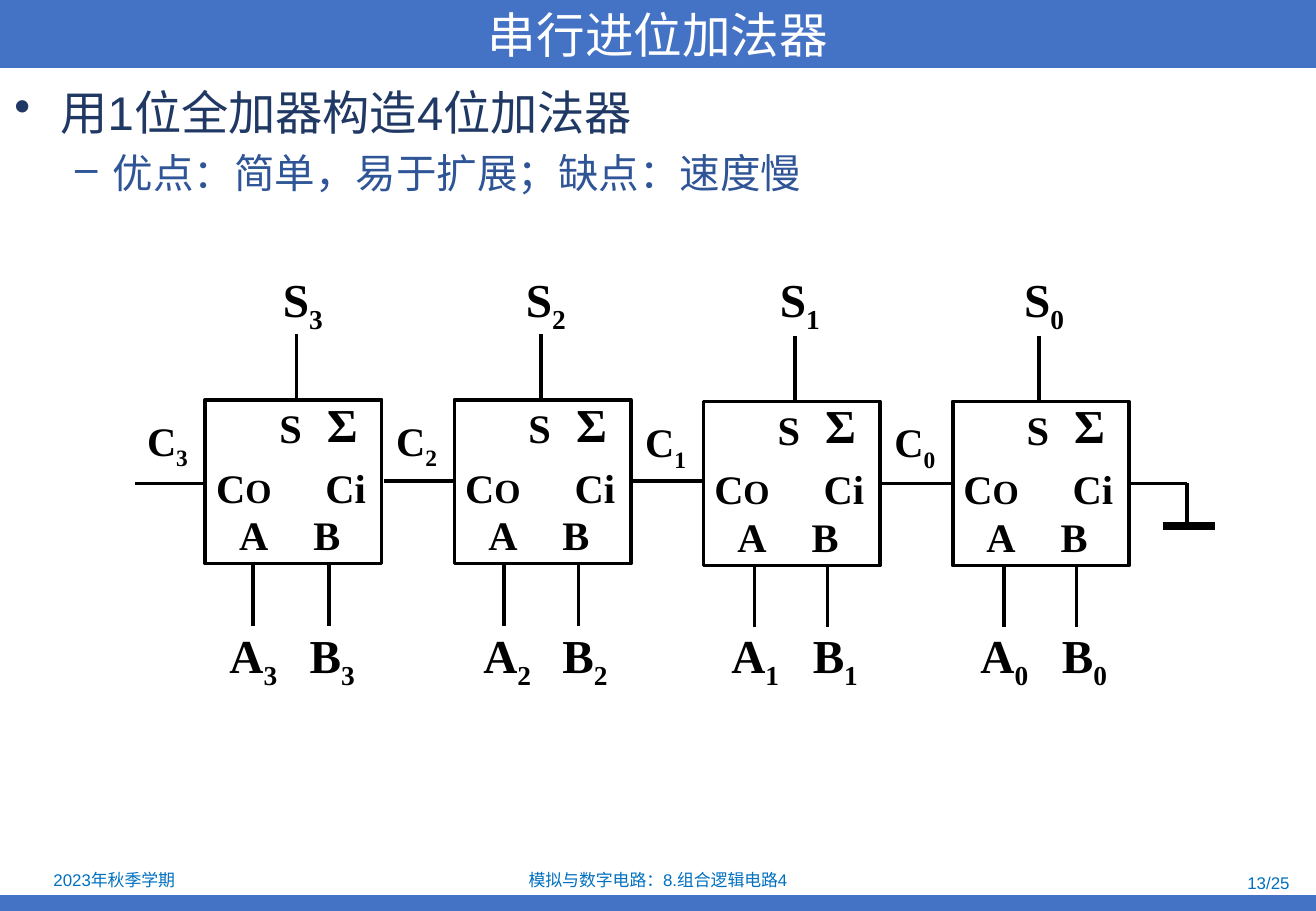
from dataclasses import dataclass

from lxml.etree import SubElement
from pptx import Presentation
from pptx.dml.color import RGBColor
from pptx.enum.shapes import MSO_CONNECTOR as Connector, MSO_SHAPE as Shape
from pptx.enum.text import MSO_ANCHOR as Anchor, MSO_AUTO_SIZE as AutoSize, PP_ALIGN as Align
from pptx.oxml.ns import qn
from pptx.util import Inches, Pt

CELL = Inches(0.1)  # one column or row of the page grid
COLUMNS, ROWS = 108.3, 75
PITCH, FIRST_LEFT = 20.5, 16.9  # adder spacing and left edge of the first adder
ADDER_WIDTH, ADDER_HEIGHT = 14.5, 13.5
BLUE, FOOTER_BLUE, NAVY, MID_BLUE = "4472C4", "0070C0", "203864", "2F5597"
WHITE, BLACK = "FFFFFF", "000000"
CHINESE, LATIN, SERIF = "Noto Sans CJK SC", "Arial", "Times New Roman"


@dataclass(frozen=True)
class Area:
    left: float
    top: float
    width: float
    height: float

    def lengths(self) -> list[int]:
        return [grid(n) for n in (self.left, self.top, self.width, self.height)]


@dataclass(frozen=True)
class Span:
    text: str
    size: float
    subscript: bool = False


@dataclass(frozen=True)
class Pin:
    """A label inside an adder, placed from the adder's corner."""
    spans: tuple[Span, ...]
    area: Area
    tight: bool = False


@dataclass(frozen=True)
class Stage:
    """One adder; columns of its wires and outer labels count from its left edge."""
    digit: str
    top: float
    carry_row: float
    sum_wire: float
    a_wire: float
    sum_label: float
    a_label: float
    b_label: float


PINS = (
    Pin((Span("A", 24),), Area(1.8, 8.6, 4.4, 5)),
    Pin((Span("B", 24),), Area(7.9, 8.6, 4.2, 5)),
    Pin((Span("S", 24),), Area(5.1, -0.2, 3.9, 5)),
    Pin((Span("Ci", 24),), Area(8.9, 4.7, 5.3, 5)),
    Pin((Span("Σ", 28),), Area(10, -0.4, 3.9, 4.7), tight=True),
    Pin((Span("C", 24), Span("O", 20)), Area(-0.1, 4.7, 6.6, 5)),
)
STAGES = (
    Stage("3", 32.9, 39.8, 7.5, 3.9, 5.4, 1.0, 7.6),
    Stage("2", 32.9, 39.6, 7.1, 4.1, 4.9, 1.4, 7.9),
    Stage("1", 33.05, 39.6, 7.5, 4.2, 5.3, 1.3, 8.0),
    Stage("0", 33.05, 39.8, 7.1, 4.2, 4.9, 1.3, 8.0),
)


def grid(cells: float) -> int:
    return round(cells * CELL)


def color(value: str) -> RGBColor:
    return RGBColor.from_string(value)


def write(para, text: str, *, size: float, hue: str, font: str = LATIN,
          bold: bool = False, subscript: bool = False) -> None:
    span = para.add_run()
    span.text = text
    span.font.size, span.font.bold, span.font.name = Pt(size), bold, font
    span.font.color.rgb = color(hue)
    properties = span.font._element
    SubElement(properties, qn("a:ea"), typeface=CHINESE)
    if subscript:
        properties.set("baseline", "-25000")


def add_band(page, area: Area) -> None:
    band = page.shapes.add_shape(Shape.RECTANGLE, *area.lengths())
    band.shadow.inherit = False
    band.fill.solid()
    band.fill.fore_color.rgb = color(BLUE)
    band.line.fill.background()


def add_wire(page, start: tuple[float, float], end: tuple[float, float],
             weight: float = 2.25) -> None:
    wire = page.shapes.add_connector(Connector.STRAIGHT, *map(grid, start + end))
    wire.line.color.rgb = color(BLACK)
    wire.line.width = Pt(weight)
    SubElement(wire._element.spPr, qn("a:effectLst"))


def add_label(page, area: Area, spans: tuple[Span, ...], tight: bool = False) -> None:
    """Bold serif label that grows with its text; a tight one has no margins."""
    frame = page.shapes.add_textbox(*area.lengths()).text_frame
    frame.word_wrap = False
    frame.auto_size = AutoSize.SHAPE_TO_FIT_TEXT
    if tight:
        frame.vertical_anchor = Anchor.MIDDLE
        frame.margin_left = frame.margin_right = frame.margin_top = frame.margin_bottom = 0
    for span in spans:
        write(frame.paragraphs[0], span.text, size=span.size, hue=BLACK, font=SERIF,
              bold=True, subscript=span.subscript)


def add_signal(page, area: Area, letter: str, digit: str, size: float = 28,
               tight: bool = False) -> None:
    add_label(page, area, (Span(letter, size), Span(digit, size, True)), tight)


def add_stage(page, stage: Stage, left: float) -> None:
    top, bottom = stage.top, stage.top + ADDER_HEIGHT
    adder = page.shapes.add_shape(
        Shape.RECTANGLE, *Area(left, top, ADDER_WIDTH, ADDER_HEIGHT).lengths())
    adder.shadow.inherit = False
    adder.fill.background()
    adder.line.color.rgb = color(BLACK)
    adder.line.width = Pt(2.25)
    for pin in PINS:
        area = Area(left + pin.area.left, top + pin.area.top, pin.area.width, pin.area.height)
        add_label(page, area, pin.spans, pin.tight)

    sum_column = left + stage.sum_wire
    add_wire(page, (sum_column, top - 5.4), (sum_column, top))
    for column in (left + stage.a_wire, left + 10.2):
        add_wire(page, (column, bottom), (column, bottom + 5.1))
    add_wire(page, (left - 5.8, stage.carry_row), (left, stage.carry_row))

    add_signal(page, Area(left + stage.sum_label, 21.8, 5.5, 5.7), "S", stage.digit)
    add_signal(page, Area(left + stage.a_label, 51.1, 6.1, 5.7), "A", stage.digit)
    add_signal(page, Area(left + stage.b_label, 51.1, 5.9, 5.7), "B", stage.digit)
    add_signal(page, Area(left - 4.8, top + 1.6, 3.5, 4), "C", stage.digit, 24, tight=True)


def add_title(page, text: str) -> None:
    title = page.shapes.title
    title.left, title.top, title.width, title.height = Area(0, 0, COLUMNS, 5.6).lengths()
    title.fill.solid()
    title.fill.fore_color.rgb = color(BLUE)
    frame = title.text_frame
    frame.auto_size, frame.vertical_anchor = AutoSize.NONE, Anchor.MIDDLE
    para = frame.paragraphs[0]
    para.alignment = Align.CENTER
    write(para, text, size=28.8, hue=WHITE, font=CHINESE)


def add_bullet(para, text: str, mark: str, margin: float, hang: float,
               size: float, hue: str) -> None:
    properties = para._p.get_or_add_pPr()
    properties.set("marL", str(grid(margin)))
    properties.set("indent", str(-grid(hang)))
    SubElement(properties, qn("a:buChar"), char=mark)
    write(para, text, size=size, hue=hue)


def add_points(page) -> None:
    frame = page.shapes.add_textbox(*Area(0.2, 6.4, 108.1, 65).lengths()).text_frame
    frame.word_wrap = True
    add_bullet(frame.paragraphs[0], "用1位全加器构造4位加法器", "•", 3.8, 3.8, 28, NAVY)
    detail = frame.add_paragraph()
    detail.level = 1
    detail.space_before = Pt(4.8)
    add_bullet(detail, "优点：简单，易于扩展；缺点：速度慢", "–", 8.1, 3.1, 24, MID_BLUE)


def add_footer(page, area: Area, text: str, align: Align) -> None:
    frame = page.shapes.add_textbox(*area.lengths()).text_frame
    frame.word_wrap, frame.vertical_anchor = True, Anchor.MIDDLE
    frame.paragraphs[0].alignment = align
    write(frame.paragraphs[0], text, size=10, hue=FOOTER_BLUE)


def main() -> None:
    deck = Presentation()
    deck.slide_width, deck.slide_height = grid(COLUMNS), grid(ROWS)
    page = deck.slides.add_slide(deck.slide_layouts[5])

    add_title(page, "串行进位加法器")
    add_points(page)
    add_band(page, Area(0, ROWS - 1.3, COLUMNS, 1.3))
    add_footer(page, Area(0.2, 71.3, 18.4, 2.3), "2023年秋季学期", Align.CENTER)
    add_footer(page, Area(37, 71.4, 34.3, 2.1), "模拟与数字电路：8.组合逻辑电路4", Align.CENTER)
    add_footer(page, Area(81.8, 71.6, 25.3, 2.1), "13/25", Align.RIGHT)

    for index, stage in enumerate(STAGES):
        add_stage(page, stage, FIRST_LEFT + index * PITCH)

    add_wire(page, (93.1, 39.8), (97.7, 39.8))
    add_wire(page, (97.7, 39.8), (97.7, 43.3))
    add_wire(page, (95.7, 43.3), (100, 43.3), weight=4.5)

    deck.save("out.pptx")


if __name__ == "__main__":
    main()
